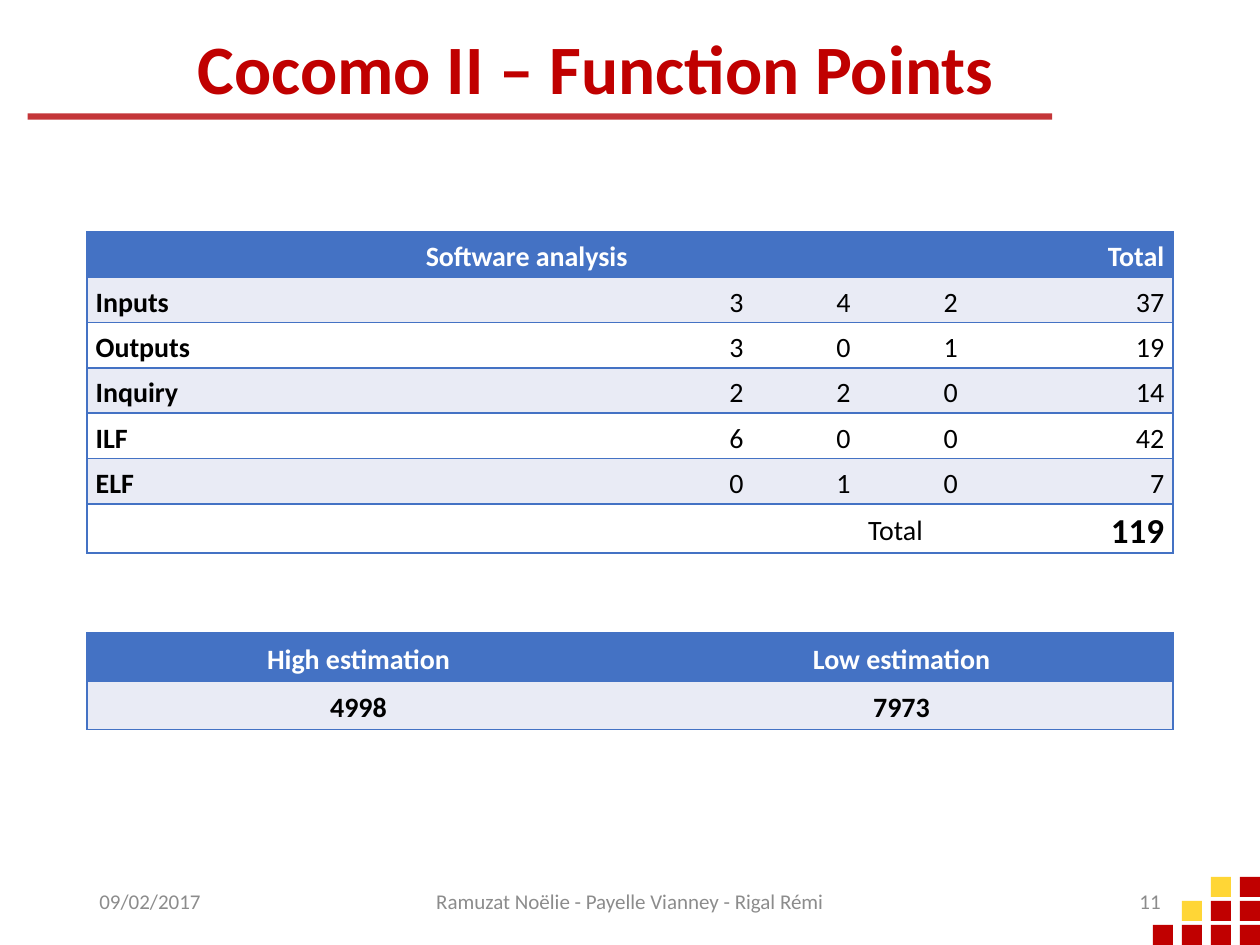
from dataclasses import dataclass
from typing import NamedTuple

from lxml.etree import SubElement
from pptx import Presentation
from pptx.dml.color import RGBColor as RGB
from pptx.enum.shapes import MSO_SHAPE as Geo
from pptx.enum.text import MSO_ANCHOR as Anchor, MSO_AUTO_SIZE as Auto, PP_ALIGN as Align
from pptx.oxml.ns import qn
from pptx.util import Inches, Pt


@dataclass(frozen=True)
class Theme:
    font: str = "Calibri"
    red: str = "C00000"
    gold: str = "FFD636"
    rule: str = "C43639"
    blue: str = "4472C4"
    band: str = "E9EBF5"
    white: str = "FFFFFF"
    black: str = "000000"
    grey: str = "8C8C8C"
    title: float = 39.6
    cell: float = 16
    sum: float = 20
    foot: float = 12


class Box(NamedTuple):
    left: float
    top: float
    width: float
    height: float


class Style(NamedTuple):
    size: float
    color: str
    bold: bool = False
    align: Align = Align.LEFT
    space: float = 1.0


class Foot(NamedTuple):
    text: str
    left: float
    width: float
    align: Align


class Grid(NamedTuple):
    box: Box
    cols: list[float]
    rows: list[float]
    cells: list[list[str]]


THEME = Theme()
LEFT, RIGHT, CENTER = Align.LEFT, Align.RIGHT, Align.CENTER

POINTS = Grid(
    Box(0.69, 1.84, 8.62, 2.55),
    [4.43, 0.85, 0.85, 0.85, 1.64],
    [0.36] * 6 + [0.39],
    [
        ["Software analysis", "", "", "", "Total"],
        ["Inputs", "3", "4", "2", "37"],
        ["Outputs", "3", "0", "1", "19"],
        ["Inquiry", "2", "2", "0", "14"],
        ["ILF", "6", "0", "0", "42"],
        ["ELF", "0", "1", "0", "7"],
        ["", "", "", "Total", "119"],
    ],
)
RANGE = Grid(
    Box(0.69, 5.02, 8.62, 0.77),
    [4.31] * 2,
    [0.39, 0.38],
    [["High estimation", "Low estimation"], ["4998", "7973"]],
)
FEET = [
    Foot("09/02/2017", 0.69, 2.25, LEFT),
    Foot("Ramuzat Noëlie - Payelle Vianney - Rigal Rémi", 3.31, 3.38, CENTER),
    Foot("11", 7.06, 2.25, RIGHT),
]
TILES = ["--GR", "-GRR", "RRRR"]


def write(frame, text: str, style: Style) -> None:
    frame.text = text
    para = frame.paragraphs[0]
    para.alignment = style.align
    para.line_spacing = style.space
    for run in para.runs:
        font = run.font
        font.name = THEME.font
        font.size = Pt(style.size)
        font.bold = style.bold
        font.color.rgb = RGB.from_string(style.color)


def place(shape, box: Box) -> None:
    shape.left, shape.top, shape.width, shape.height = map(Inches, box)


def block(slide, box: Box, color: str) -> None:
    shape = slide.shapes.add_shape(Geo.RECTANGLE, *map(Inches, box))
    shape.shadow.inherit = False
    shape.fill.solid()
    shape.fill.fore_color.rgb = RGB.from_string(color)
    shape.line.fill.background()


def tiles(slide) -> None:
    for r, row in enumerate(TILES):
        for c, mark in enumerate(row):
            if mark != "-":
                color = THEME.gold if mark == "G" else THEME.red
                block(slide, Box(9.15 + 0.23 * c, 6.96 + 0.19 * r, 0.16, 0.16), color)


def edge(cell, side: str, shown: bool) -> None:
    line = SubElement(cell._tc.get_or_add_tcPr(), qn(f"a:ln{side}"), w=str(Pt(1)))
    if shown:
        fill = SubElement(line, qn("a:solidFill"))
        SubElement(fill, qn("a:srgbClr"), val=THEME.blue)
    else:
        SubElement(line, qn("a:noFill"))


def points(r: int, c: int) -> Style:
    if r == 0:
        return Style(THEME.cell, THEME.white, True, RIGHT if c == 4 else CENTER, 1.15)
    if r == 6:
        if c == 4:
            return Style(THEME.sum, THEME.black, True, RIGHT, 1.15)
        return Style(THEME.cell, THEME.black, False, LEFT, 1.15)
    return Style(THEME.cell, THEME.black, c == 0, RIGHT if c else LEFT, 1.15)


def bounds(r: int, c: int) -> Style:
    return Style(THEME.cell, THEME.black if r else THEME.white, True, CENTER, 1.15)


def table(slide, grid: Grid, style):
    rows, cols = len(grid.rows), len(grid.cols)
    made = slide.shapes.add_table(rows, cols, *map(Inches, grid.box)).table
    for col, width in zip(made.columns, grid.cols):
        col.width = Inches(width)
    for row, height in zip(made.rows, grid.rows):
        row.height = Inches(height)
    for r, line in enumerate(grid.cells):
        for c, text in enumerate(line):
            cell = made.cell(r, c)
            cell.margin_left = cell.margin_right = Inches(0.07)
            cell.margin_top = cell.margin_bottom = 0
            cell.vertical_anchor = Anchor.MIDDLE
            shown = {"L": c == 0, "R": c == cols - 1, "T": True, "B": True}
            for side, on in shown.items():
                edge(cell, side, on)
            color = THEME.band if r % 2 else THEME.white
            cell.fill.solid()
            cell.fill.fore_color.rgb = RGB.from_string(color if r else THEME.blue)
            write(cell.text_frame, text, style(r, c))
    return made


def foot(slide, item: Foot) -> None:
    box = Box(item.left, 6.95, item.width, 0.4)
    frame = slide.shapes.add_textbox(*map(Inches, box)).text_frame
    frame.word_wrap = True
    frame.vertical_anchor = Anchor.MIDDLE
    write(frame, item.text, Style(THEME.foot, THEME.grey, align=item.align))


def main() -> None:
    deck = Presentation()
    deck.slide_width, deck.slide_height = Inches(10), Inches(7.5)
    slide = deck.slides.add_slide(deck.slide_layouts[5])
    tiles(slide)
    block(slide, Box(0.22, 0.9, 8.13, 0.05), THEME.rule)

    title = slide.shapes.title
    place(title, Box(1.47, 0.25, 6.88, 0.64))
    frame = title.text_frame
    frame.auto_size = Auto.NONE
    frame.vertical_anchor = Anchor.MIDDLE
    write(frame, "Cocomo II – Function Points", Style(THEME.title, THEME.red, True, space=0.9))

    main_grid = table(slide, POINTS, points)
    main_grid.cell(0, 0).merge(main_grid.cell(0, 3))
    table(slide, RANGE, bounds)
    for item in FEET:
        foot(slide, item)
    deck.save("out.pptx")


if __name__ == "__main__":
    main()
